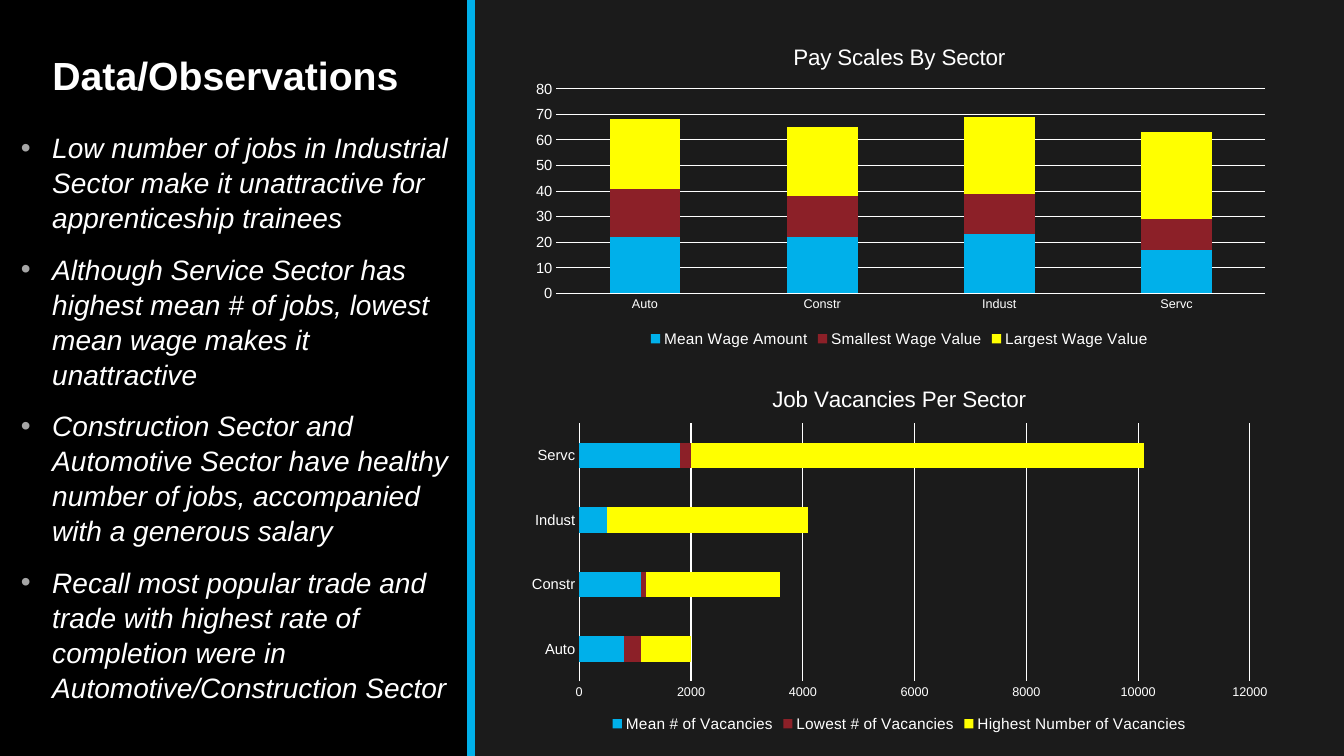
"""Builds the Data/Observations slide with two stacked sector charts."""
from dataclasses import dataclass

from lxml import etree
from pptx import Presentation
from pptx.chart.data import CategoryChartData
from pptx.dml.color import RGBColor
from pptx.enum.chart import XL_CHART_TYPE, XL_LEGEND_POSITION, XL_TICK_MARK
from pptx.enum.shapes import MSO_CONNECTOR, MSO_SHAPE
from pptx.enum.text import MSO_ANCHOR, MSO_AUTO_SIZE, PP_ALIGN
from pptx.oxml.ns import qn
from pptx.util import Inches, Pt

COLUMN, BAR = XL_CHART_TYPE.COLUMN_STACKED, XL_CHART_TYPE.BAR_STACKED
LEGEND_BOTTOM = XL_LEGEND_POSITION.BOTTOM
NO_TICK = XL_TICK_MARK.NONE
STRAIGHT, RECTANGLE = MSO_CONNECTOR.STRAIGHT, MSO_SHAPE.RECTANGLE
TOP, BOTTOM = MSO_ANCHOR.TOP, MSO_ANCHOR.BOTTOM
NO_AUTOFIT = MSO_AUTO_SIZE.NONE
LEFT = PP_ALIGN.LEFT

TITLE = "Data/Observations"
OBSERVATIONS = [
    "Low number of jobs in Industrial Sector make it unattractive for apprenticeship trainees",
    "Although Service Sector has highest mean # of jobs, lowest mean wage makes it unattractive",
    "Construction Sector and Automotive Sector have healthy number of jobs, "
    "accompanied with a generous salary",
    "Recall most popular trade and trade with highest rate of completion were in "
    "Automotive/Construction Sector",
]
SECTORS = ["Auto", "Constr", "Indust", "Servc"]
CHARTS = [
    {
        "title": "Job Vacancies Per Sector",
        "kind": BAR,
        "box": (5.14, 3.65, 7.56, 3.66),
        "plot": (0.08, 0.15, 0.88, 0.7),
        "scale": (12000, 2000),
        "axis_sizes": (10.5, 9),
        "series": {
            "Mean # of Vacancies": (800, 1100, 500, 1800),
            "Lowest # of Vacancies": (300, 100, 0, 200),
            "Highest Number of Vacancies": (900, 2400, 3600, 8100),
        },
    },
    {
        "title": "Pay Scales By Sector",
        "kind": COLUMN,
        "box": (5.14, 0.27, 7.56, 3.22),
        "plot": (0.05, 0.19, 0.93, 0.63),
        "scale": (80, 10),
        "axis_sizes": (9, 10.5),
        "series": {
            "Mean Wage Amount": (22, 22, 23, 17),
            "Smallest Wage Value": (19, 16, 16, 12),
            "Largest Wage Value": (27, 27, 30, 34),
        },
    },
]
SLIDE_WIDTH, SLIDE_HEIGHT, PANEL_WIDTH = 13.33, 7.5, 4.67
TITLE_BOX = (0.42, 0.51, 3.83, 0.6)
BODY_BOX = (0.11, 1.11, 4.51, 5.92)


@dataclass(frozen=True)
class Theme:
    """Colours, font and type sizes of the slide."""
    font: str = "Arial"
    background: str = "1B1B1B"
    panel: str = "000000"
    accent: str = "00B0EA"
    text: str = "FFFFFF"
    bullet: str = "A6A6A6"
    series: tuple = ("00B0EA", "8C2028", "FFFF00")
    title_size: float = 28
    body_size: float = 20
    chart_size: float = 10
    chart_title_size: float = 16
    legend_size: float = 11


THEME = Theme()


def paint(fill, color):
    """Give a fill one solid colour."""
    fill.solid()
    fill.fore_color.rgb = RGBColor.from_string(color)


def style(font, size, bold=False, italic=False):
    """Set the theme font at the given size."""
    font.name, font.size, font.bold, font.italic = THEME.font, Pt(size), bold, italic
    font.color.rgb = RGBColor.from_string(THEME.text)


def place(shape, box):
    """Move a shape to a box given in inches."""
    shape.left, shape.top, shape.width, shape.height = map(Inches, box)


def add_panel(slide):
    """Add the dark left panel and its accent edge."""
    panel = slide.shapes.add_shape(RECTANGLE, 0, 0, Inches(PANEL_WIDTH), Inches(SLIDE_HEIGHT))
    panel.shadow.inherit = False
    paint(panel.fill, THEME.panel)
    panel.line.fill.background()
    edge = slide.shapes.add_connector(
        STRAIGHT, Inches(PANEL_WIDTH), 0, Inches(PANEL_WIDTH), Inches(SLIDE_HEIGHT))
    edge.line.width = Pt(6)
    paint(edge.line.fill, THEME.accent)
    etree.SubElement(edge.element.spPr, qn("a:effectLst"))


def add_title(slide):
    """Fill the title placeholder and bring it in front of the panel."""
    title = slide.shapes.title
    title.element.getparent().append(title.element)
    place(title, TITLE_BOX)
    frame = title.text_frame
    frame.text = TITLE
    frame.auto_size, frame.vertical_anchor = NO_AUTOFIT, TOP
    para = frame.paragraphs[0]
    para.alignment, para.line_spacing = LEFT, 0.9
    style(para.runs[0].font, THEME.title_size, bold=True)


def add_bullet(para):
    """Give a paragraph a hanging grey bullet."""
    properties = para._p.get_or_add_pPr()
    indent = Inches(0.31)
    properties.set("marL", str(indent))
    properties.set("indent", str(-indent))
    color = etree.SubElement(properties, qn("a:buClr"))
    etree.SubElement(color, qn("a:srgbClr"), val=THEME.bullet)
    etree.SubElement(properties, qn("a:buFont"), typeface=THEME.font)
    etree.SubElement(properties, qn("a:buChar"), char="•")


def add_observations(slide):
    """Add the bulleted observations."""
    frame = slide.shapes.add_textbox(*map(Inches, BODY_BOX)).text_frame
    frame.word_wrap, frame.vertical_anchor = True, BOTTOM
    for index, observation in enumerate(OBSERVATIONS):
        para = frame.add_paragraph() if index else frame.paragraphs[0]
        para.text = observation
        add_bullet(para)
        para.line_spacing = 1.04
        para.space_before = Pt(12 if index else 0)
        style(para.runs[0].font, THEME.body_size, italic=True)


def set_plot_area(chart, plot):
    """Fix the inner plot area as fractions of the chart."""
    area = chart.element.find(".//" + qn("c:plotArea"))
    layout = area.find(qn("c:layout"))
    if layout is None:
        layout = etree.Element(qn("c:layout"))
        area.insert(0, layout)
    manual = etree.SubElement(layout, qn("c:manualLayout"))
    settings = [("layoutTarget", "inner"), ("xMode", "edge"), ("yMode", "edge"),
                *zip("xywh", plot)]
    for name, value in settings:
        etree.SubElement(manual, qn("c:" + name), val=str(value))


def add_sector_chart(slide, content):
    """Add one stacked chart."""
    data = CategoryChartData()
    data.categories = SECTORS
    for name, values in content["series"].items():
        data.add_series(name, values)
    chart = slide.shapes.add_chart(content["kind"], *map(Inches, content["box"]), data).chart
    style(chart.font, THEME.chart_size)
    chart.has_title = True
    chart.chart_title.text_frame.text = content["title"]
    style(chart.chart_title.text_frame.paragraphs[0].runs[0].font, THEME.chart_title_size)
    chart.chart_title.include_in_layout = False
    chart.has_legend = True
    chart.legend.position, chart.legend.include_in_layout = LEGEND_BOTTOM, False
    style(chart.legend.font, THEME.legend_size)
    bars = chart.plots[0]
    bars.gap_width, bars.overlap, bars.vary_by_categories = 150, 100, False
    for series, color in zip(bars.series, THEME.series):
        paint(series.format.fill, color)
    categories, values = chart.category_axis, chart.value_axis
    for axis, size in zip((categories, values), content["axis_sizes"]):
        axis.major_tick_mark = axis.minor_tick_mark = NO_TICK
        style(axis.tick_labels.font, size)
    values.minimum_scale = 0
    values.maximum_scale, values.major_unit = content["scale"]
    values.has_major_gridlines = True
    values.format.line.fill.background()
    for line in (categories.format.line, values.major_gridlines.format.line):
        line.width = Pt(0.75)
        paint(line.fill, THEME.text)
    set_plot_area(chart, content["plot"])


def main():
    """Build and save the deck."""
    deck = Presentation()
    deck.slide_width, deck.slide_height = Inches(SLIDE_WIDTH), Inches(SLIDE_HEIGHT)
    page = deck.slides.add_slide(deck.slide_layouts.get_by_name("Title Only"))
    paint(page.background.fill, THEME.background)
    add_panel(page)
    add_title(page)
    add_observations(page)
    for content in CHARTS:
        add_sector_chart(page, content)
    deck.save("out.pptx")


if __name__ == "__main__":
    main()
